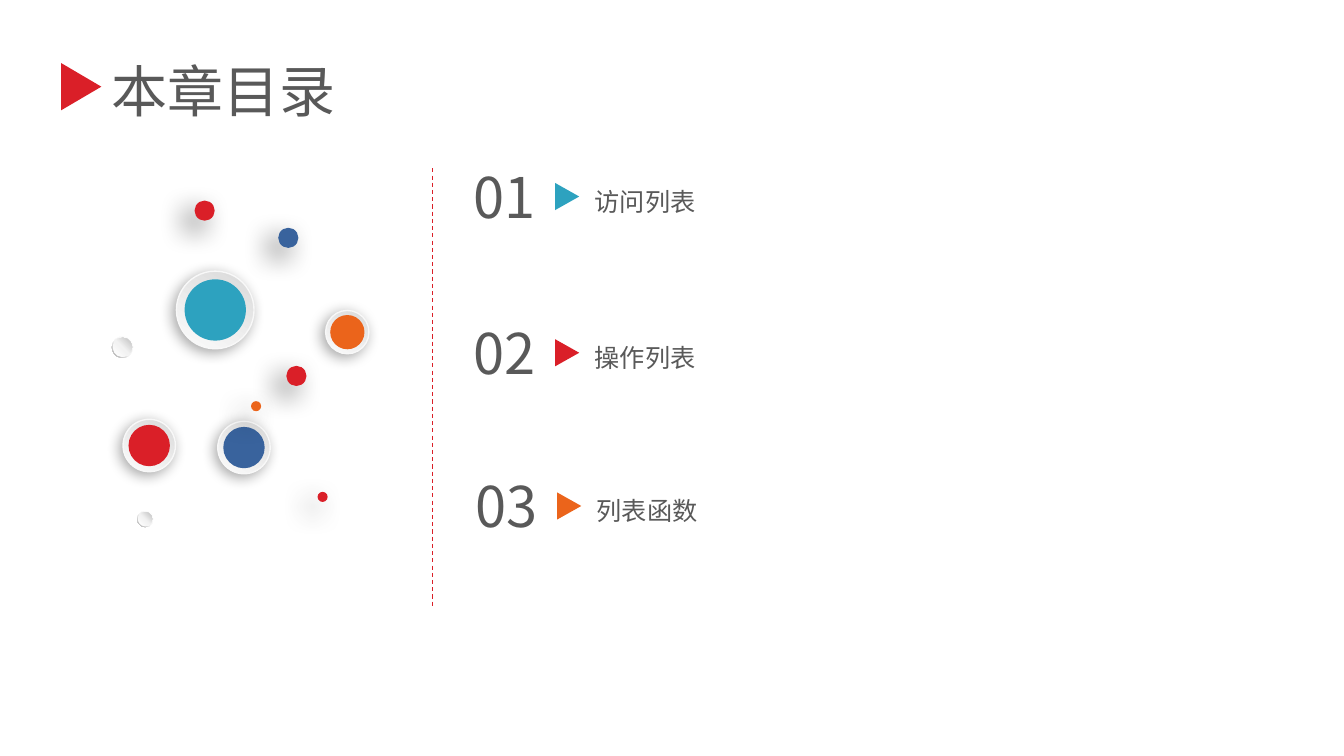
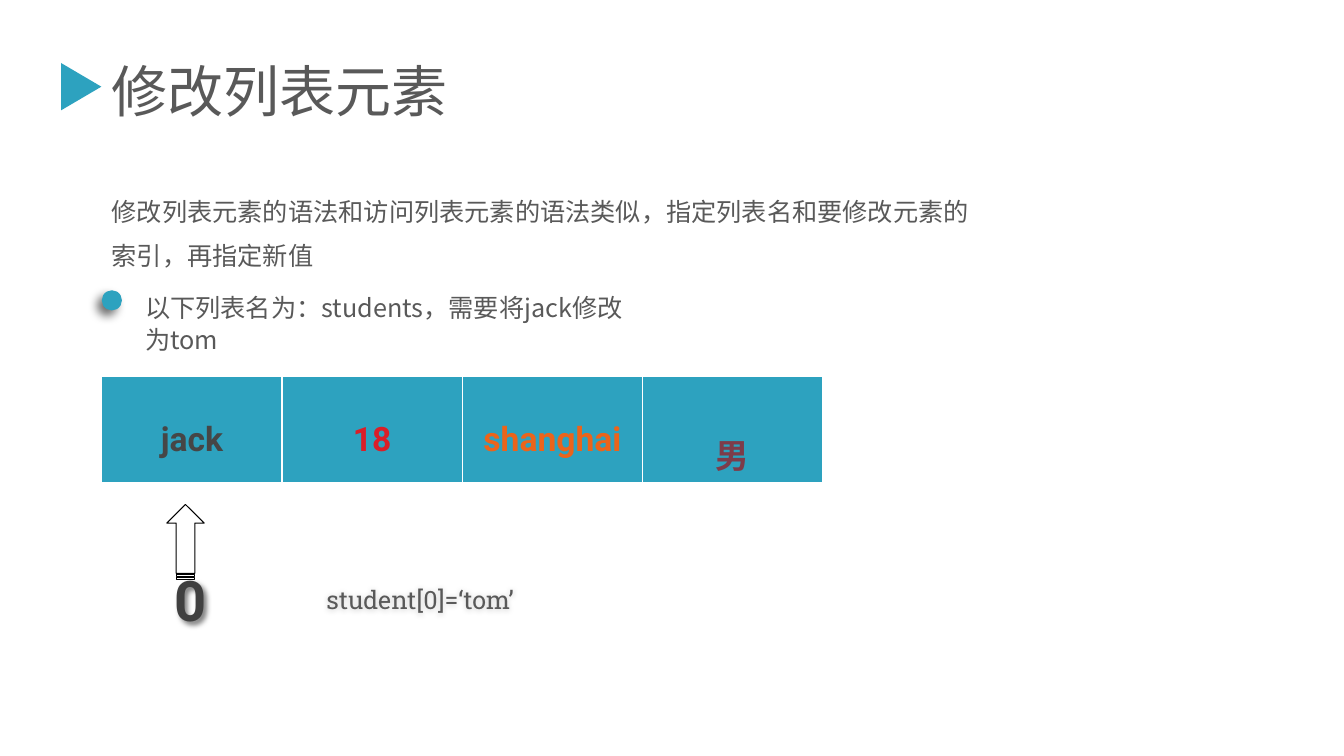
from dataclasses import dataclass

from lxml import etree
from pptx import Presentation
from pptx.dml.color import RGBColor
from pptx.enum.dml import MSO_LINE
from pptx.enum.shapes import MSO_CONNECTOR, MSO_SHAPE
from pptx.enum.text import MSO_ANCHOR, MSO_AUTO_SIZE, PP_ALIGN
from pptx.oxml.ns import qn
from pptx.util import Inches, Pt

TRIANGLE, OVAL, DONUT = MSO_SHAPE.ISOSCELES_TRIANGLE, MSO_SHAPE.OVAL, MSO_SHAPE.DONUT
STRIPED_ARROW = MSO_SHAPE.STRIPED_RIGHT_ARROW
TOP, MIDDLE = MSO_ANCHOR.TOP, MSO_ANCHOR.MIDDLE
LEFT, CENTER = PP_ALIGN.LEFT, PP_ALIGN.CENTER
TITLE_ONLY = 5


@dataclass(frozen=True)
class Theme:
    teal: str = "2DA2BF"
    red: str = "DA1F28"
    orange: str = "EB641B"
    blue: str = "39639D"
    plum: str = "7D3C4A"
    text: str = "595959"
    dark: str = "404040"
    cell_text: str = "464646"
    rim: str = "F8F8F8"
    white: str = "FFFFFF"
    black: str = "000000"
    cjk: str = "Noto Sans CJK SC"
    sans: str = "Roboto"
    slab: str = "Roboto Slab"
    title_size: int = 40
    cell_size: int = 24
    body_size: int = 18


THEME = Theme()
RING_STOPS = [(0, "D9D9D9"), (100, "FCFCFC")]
PEARL_RIM_STOPS = [(0, "FFFFFF"), (55, "F2F2F2"), (100, "A6A6A6")]
PEARL_STOPS = [(0, "FFFFFF"), (51, "F2F2F2"), (100, "BFBFBF")]
# Shadows: opacity %, blur pt, distance pt, direction in degrees
RING_SHADOW = (34, 10, 3, 136)
DOT_SHADOW = (60, 20, 10, 135)
BULLET_SHADOW = (57, 7, 5, 135)
INDEX_SHADOW = (50, 4, 3, 45)
CODE_SHADOW = (20, 4, 0, 0)


# --- shared helpers ---
def rgb(value):
    return RGBColor.from_string(value)


def add_color(parent, value):
    return etree.SubElement(parent, qn("a:srgbClr"), val=value)


def set_shadow(shape, opacity, blur, distance, direction):
    shape.shadow.inherit = False
    effects = shape._element.spPr.find(qn("a:effectLst"))
    outer = etree.SubElement(
        effects, qn("a:outerShdw"), blurRad=str(Pt(blur)), dist=str(Pt(distance)),
        dir=str(direction * 60000), algn="ctr", rotWithShape="0")
    etree.SubElement(add_color(outer, THEME.black), qn("a:alpha"), val=str(opacity * 1000))


def set_gradient(shape, stops, angle):
    shape.fill.gradient()
    gradient = shape._element.spPr.find(qn("a:gradFill"))
    for child in list(gradient):
        gradient.remove(child)
    stop_list = etree.SubElement(gradient, qn("a:gsLst"))
    for position, color in stops:
        add_color(etree.SubElement(stop_list, qn("a:gs"), pos=str(position * 1000)), color)
    etree.SubElement(gradient, qn("a:lin"), ang=str(angle * 60000), scaled="0")


def add_preset(slide, preset, left, top, width, height, fill=None, rotation=0):
    shape = slide.shapes.add_shape(
        preset, Inches(left), Inches(top), Inches(width), Inches(height))
    shape.shadow.inherit = False
    shape.rotation = rotation
    shape.line.fill.background()
    if fill:
        shape.fill.solid()
        shape.fill.fore_color.rgb = rgb(fill)
    else:
        shape.fill.background()
    return shape


def write(frame, text, size=THEME.body_size, font=THEME.cjk, color=THEME.text,
          bold=False, align=LEFT, spacing=None):
    paragraph = frame.paragraphs[0]
    for name, value in {"alignment": align, "line_spacing": spacing}.items():
        setattr(paragraph, name, value)
    run = paragraph.add_run()
    run.text = text
    for name, value in {"size": Pt(size), "bold": bold, "name": font}.items():
        setattr(run.font, name, value)
    run.font.color.rgb = rgb(color)
    etree.SubElement(run._r.get_or_add_rPr(), qn("a:ea"), typeface=THEME.cjk)


def set_frame(frame, anchor):
    settings = {"word_wrap": True, "auto_size": MSO_AUTO_SIZE.NONE, "vertical_anchor": anchor}
    for name, value in settings.items():
        setattr(frame, name, value)


def add_text(slide, text, left, top, width, height, anchor=TOP, **style):
    box = slide.shapes.add_textbox(Inches(left), Inches(top), Inches(width), Inches(height))
    set_frame(box.text_frame, anchor)
    write(box.text_frame, text, **style)
    return box


def add_titled_slide(prs, text, marker_color):
    slide = prs.slides.add_slide(prs.slide_layouts[TITLE_ONLY])
    title = slide.shapes.title
    place = {"left": 1.01, "top": 0.51, "width": 6.52, "height": 0.77}
    for name, value in place.items():
        setattr(title, name, Inches(value))
    set_frame(title.text_frame, MIDDLE)
    write(title.text_frame, text, size=THEME.title_size)
    add_preset(slide, TRIANGLE, 0.57, 0.66, 0.47, 0.4, marker_color, 90)
    return slide


# --- contents slide ---
def add_entry(slide, left, top, number, label, color):
    add_preset(slide, TRIANGLE, left + 0.89, top + 0.27, 0.27, 0.24, color, 90)
    add_text(slide, number, left, top, 0.9, 0.77, MIDDLE, size=THEME.title_size)
    add_text(slide, label, left + 1.2, top + 0.09, 4.51, 0.5, spacing=Pt(32))


def add_ring(slide, left, top, size, color):
    ring = add_preset(slide, OVAL, left, top, size, size)
    set_gradient(ring, RING_STOPS, 120)
    ring.line.color.rgb = rgb(THEME.rim)
    ring.line.width = Pt(1)
    set_shadow(ring, *RING_SHADOW)
    disc = 0.79 * size
    inset = (size - disc) / 2
    add_preset(slide, OVAL, left + inset, top + inset, disc, disc, color)


def add_dot(slide, left, top, size, color, shadow=DOT_SHADOW):
    dot = add_preset(slide, OVAL, left, top, size, size, color)
    set_shadow(dot, *shadow)


def add_pearl(slide, left, top, size):
    rim = add_preset(slide, DONUT, left, top, size, size)
    rim.adjustments[0] = 0.05
    set_gradient(rim, PEARL_RIM_STOPS, 135)
    inset = 0.01
    core = size - 2 * inset
    pearl = add_preset(slide, OVAL, left + inset, top + inset, core, core)
    set_gradient(pearl, PEARL_STOPS, 315)


def add_bubbles(slide, left, top):
    rings = [(0.64, 0.7, 0.77, THEME.teal), (0.11, 2.17, 0.52, THEME.red),
             (1.05, 2.19, 0.52, THEME.blue), (2.12, 1.09, 0.43, THEME.orange)]
    dots = [(1.73, 1.64, 0.2, THEME.red), (1.65, 0.27, 0.2, THEME.blue),
            (2.04, 2.89, 0.1, THEME.red), (0.82, 0, 0.2, THEME.red),
            (1.38, 1.99, 0.1, THEME.orange)]
    pearls = [(0.25, 3.08, 0.16), (0, 1.35, 0.21)]
    for draw, parts in ((add_ring, rings), (add_pearl, pearls), (add_dot, dots)):
        for x, y, *details in parts:
            draw(slide, left + x, top + y, *details)


def add_divider(slide, x, top, bottom):
    divider = slide.shapes.add_connector(
        MSO_CONNECTOR.STRAIGHT, Inches(x), Inches(top), Inches(x), Inches(bottom))
    divider.line.color.rgb = rgb(THEME.red)
    divider.line.width = Pt(0.75)
    divider.line.dash_style = MSO_LINE.DASH
    etree.SubElement(divider._element.spPr, qn("a:effectLst"))


def build_contents(prs):
    slide = add_titled_slide(prs, "本章目录", THEME.red)
    entries = [(4.6, 1.56, "访问列表", THEME.teal),
               (4.6, 3.11, "操作列表", THEME.red),
               (4.62, 4.63, "列表函数", THEME.orange)]
    for number, (left, top, label, color) in enumerate(entries, 1):
        add_entry(slide, left, top, f"{number:02}", label, color)
    add_bubbles(slide, 1.11, 1.99)
    add_divider(slide, 4.29, 1.67, 6.03)


# --- list element slide ---
def set_borders(cell):
    properties = cell._tc.get_or_add_tcPr()
    for side, width in (("L", 1), ("R", 1), ("T", 1), ("B", 3)):
        border = etree.SubElement(properties, qn(f"a:ln{side}"), w=str(Pt(width)))
        add_color(etree.SubElement(border, qn("a:solidFill")), THEME.white)


def add_student_table(slide, left, top, width, height):
    values = [("jack", THEME.cell_text), ("18", THEME.red),
              ("shanghai", THEME.orange), ("男", THEME.plum)]
    table = slide.shapes.add_table(
        1, len(values), Inches(left), Inches(top), Inches(width), Inches(height)).table
    for column, (value, color) in enumerate(values):
        table.columns[column].width = Inches(width / len(values))
        cell = table.cell(0, column)
        set_borders(cell)
        cell.fill.solid()
        cell.fill.fore_color.rgb = rgb(THEME.teal)
        cell.vertical_anchor = TOP
        write(cell.text_frame, value, size=THEME.cell_size, font=THEME.sans,
              color=color, bold=True, align=CENTER, spacing=2.0)


def add_bullet_note(slide, left, top, text):
    add_dot(slide, left, top + 0.05, 0.2, THEME.teal, BULLET_SHADOW)
    add_text(slide, text, left + 0.33, top, 4.98, 0.71, spacing=Pt(23))


def add_index_pointer(slide, left, top, index):
    arrow = add_preset(slide, STRIPED_ARROW, left, top + 0.19, 0.74, 0.37, rotation=270)
    arrow.line.color.rgb = rgb(THEME.black)
    arrow.line.width = Pt(0.75)
    label = add_text(slide, index, left + 0.16, top + 0.56, 0.61, 0.77, MIDDLE,
                     size=THEME.title_size, font=THEME.sans, color=THEME.dark, bold=True)
    set_shadow(label, *INDEX_SHADOW)


def build_modify_element(prs):
    slide = add_titled_slide(prs, "修改列表元素", THEME.teal)
    add_text(slide, "修改列表元素的语法和访问列表元素的语法类似，指定列表名和要修改元素的索引，再指定新值",
             1.01, 1.75, 8.79, 1.01, spacing=Pt(32))
    add_student_table(slide, 1.01, 3.73, 7.15, 1.07)
    add_bullet_note(slide, 1.01, 2.83, "以下列表名为：students，需要将jack修改为tom")
    add_index_pointer(slide, 1.47, 5, "0")
    code = add_text(slide, "student[0]=‘tom’", 3.14, 5.75, 5.26, 0.4, MIDDLE, font=THEME.slab)
    set_shadow(code, *CODE_SHADOW)


def main():
    prs = Presentation()
    prs.slide_width, prs.slide_height = Inches(13.33), Inches(7.5)
    build_contents(prs)
    build_modify_element(prs)
    prs.save("out.pptx")


if __name__ == "__main__":
    main()
